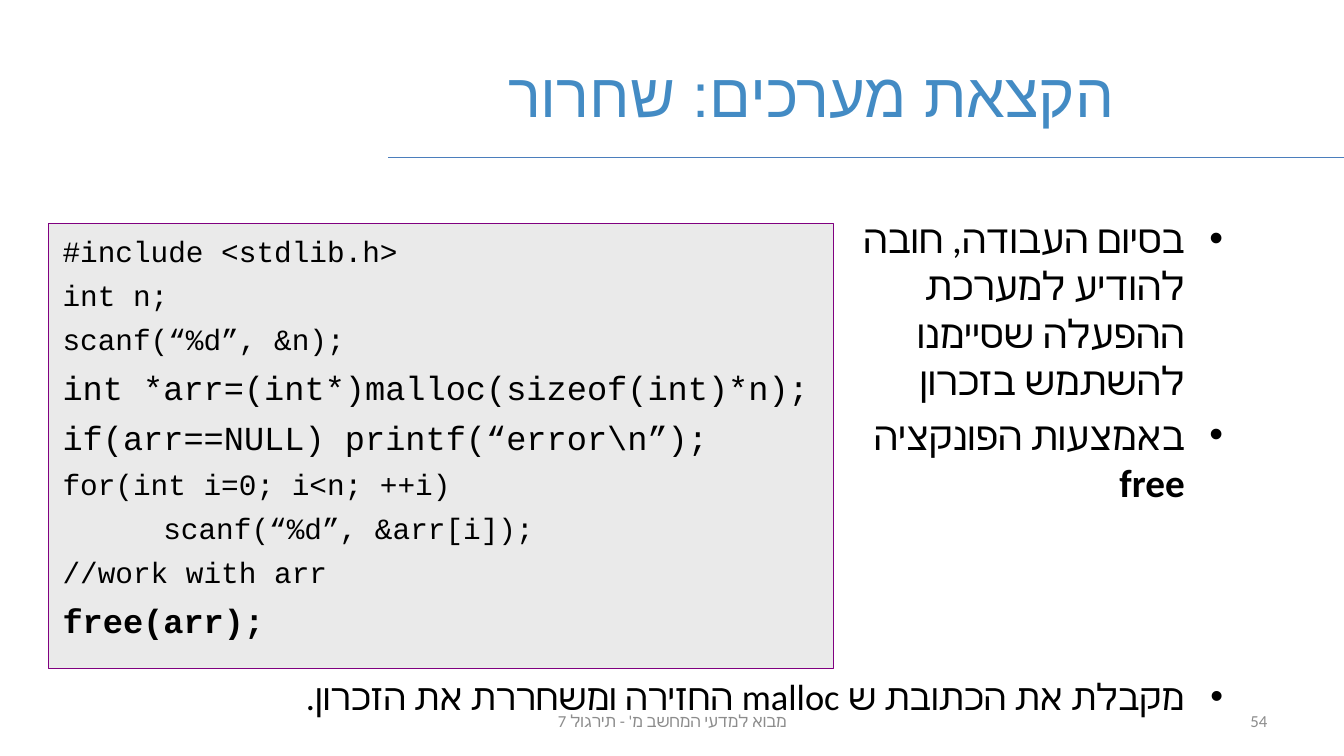
import pptx
import pptx.util
import pptx.dml.color
import pptx.enum.shapes
import pptx.enum.text
import pptx.oxml.ns
import lxml.etree

Inches = pptx.util.Inches
ALIGN = pptx.enum.text.PP_ALIGN
ANCHOR = pptx.enum.text.MSO_ANCHOR

THEME = {
    "title": {"size": 44, "face": "Arial", "color": "438BC4"},
    "list": {"size": 28, "face": "Calibri", "color": "000000"},
    "last": {"size": 26, "face": "Calibri", "color": "000000"},
    "code": {"size": 21, "face": "Courier New", "color": "000000"},
    "foot": {"size": 12, "face": "Calibri", "color": "8C8C8C"},
    "big": 24,
    "rule": "4B7EBC",
    "fill": "EAEAEA",
    "edge": "800080",
}

# Each paragraph is a list of (text, changes to the base format).
BIG = {"size": THEME["big"]}
TITLE = [[("הקצאת מערכים: שחרור", {})]]
POINTS = [
    [("בסיום העבודה, חובה להודיע למערכת ההפעלה שסיימנו להשתמש בזכרון", {})],
    [("באמצעות הפונקציה ", {}), ("free", {"bold": True})],
]
LAST = [[("מקבלת את הכתובת ש malloc החזירה ומשחררת את הזכרון.", {})]]
CODE = [
    [("#include <stdlib.h>", {})],
    [("int n;", {})],
    [("scanf(“%d”, &n);", {})],
    [("int *arr=(int*)malloc(sizeof(int)*n);", BIG)],
    [("if(arr==NULL) printf(“error\\n”);", BIG)],
    [("for(int i=0; i<n; ++i)", {})],
    [("\tscanf(“%d”, &arr[i]);", {})],
    [("//work with arr", {})],
    [("free(arr);", {**BIG, "bold": True})],
]
FOOT = [[("מבוא למדעי המחשב מ' - תירגול 7", {})]]
PAGE = [[("54", {})]]

RULE_Y = 1.56
RULES = [(13.33, 3.85), (11.67, 4.56)]


def tint(code):
    return pptx.dml.color.RGBColor.from_string(code)


def add(node, tag, **attrs):
    return lxml.etree.SubElement(node, pptx.oxml.ns.qn(tag), attrs)


def place(shape, box):
    shape.left, shape.top, shape.width, shape.height = map(Inches, box)
    return shape


def style(run, size, face, color, bold=False):
    font = run.font
    font.size, font.name, font.bold = pptx.util.Pt(size), face, bold
    font.color.rgb = tint(color)
    add(run._r.get_or_add_rPr(), "a:cs", typeface=face)


def write(shape, paras, base, align=ALIGN.RIGHT, rtl=True, anchor=ANCHOR.TOP,
          inset=(0.1, 0.05), gap=0, bullet=False, tab=0):
    """Fill a shape; gap is the space before later paragraphs in percent."""
    frame = shape.text_frame
    frame.word_wrap = True
    frame.auto_size = pptx.enum.text.MSO_AUTO_SIZE.NONE
    frame.vertical_anchor = anchor
    frame.margin_left = frame.margin_right = Inches(inset[0])
    frame.margin_top = frame.margin_bottom = Inches(inset[1])
    for i, runs in enumerate(paras):
        para = frame.paragraphs[0] if i == 0 else frame.add_paragraph()
        para.alignment = align
        props = para._p.get_or_add_pPr()
        if rtl:
            props.set("rtl", "1")
        space = add(props, "a:spcBef")
        add(space, "a:spcPct", val=str(gap * 1000 if i else 0))
        if bullet:
            hang = Inches(0.38)
            props.set("marL", str(hang))
            props.set("indent", str(-hang))
            add(props, "a:buFont", typeface="Arial")
            add(props, "a:buChar", char="•")
        if tab:
            stops = add(props, "a:tabLst")
            add(stops, "a:tab", pos=str(Inches(tab)), algn="l")
        for text, change in runs:
            run = para.add_run()
            run.text = text
            style(run, **{**base, **change})


def draw_rule(slide, start, end):
    line = slide.shapes.add_connector(
        pptx.enum.shapes.MSO_CONNECTOR.STRAIGHT,
        Inches(start), Inches(RULE_Y), Inches(end), Inches(RULE_Y))
    line.line.color.rgb = tint(THEME["rule"])
    line.line.width = pptx.util.Pt(0.75)
    add(line._element.spPr, "a:effectLst")


def draw_code(slide):
    panel = slide.shapes.add_shape(
        pptx.enum.shapes.MSO_SHAPE.RECTANGLE,
        *map(Inches, (0.48, 2.22, 7.79, 4.41)))
    panel.shadow.inherit = False
    panel.fill.solid()
    panel.fill.fore_color.rgb = tint(THEME["fill"])
    panel.line.color.rgb = tint(THEME["edge"])
    panel.line.width = pptx.util.Pt(0.75)
    write(panel, CODE, THEME["code"], align=ALIGN.LEFT, rtl=False,
          inset=(0.14, 0.09), gap=30, tab=1)


def main():
    deck = pptx.Presentation()
    deck.slide_width, deck.slide_height = Inches(13.33), Inches(7.5)
    slide = deck.slides.add_slide(deck.slide_layouts.get_by_name("Two Content"))
    title, points, last = slide.placeholders

    for start, end in RULES:
        draw_rule(slide, start, end)
    write(place(title, (3.58, 0.3, 7.58, 1.25)), TITLE, THEME["title"],
          anchor=ANCHOR.MIDDLE)
    write(place(points, (8.14, 2.08, 4.09, 3.08)), POINTS, THEME["list"],
          gap=20, bullet=True)
    draw_code(slide)
    write(place(last, (2.02, 6.64, 10.21, 0.75)), LAST, THEME["last"],
          bullet=True)

    for paras, left, width, align in [(FOOT, 4.56, 4.22, ALIGN.CENTER),
                                      (PAGE, 9.56, 3.11, ALIGN.RIGHT)]:
        box = slide.shapes.add_textbox(*map(Inches, (left, 6.95, width, 0.4)))
        write(box, paras, THEME["foot"], align=align, anchor=ANCHOR.MIDDLE)
    deck.save("out.pptx")


if __name__ == "__main__":
    main()
